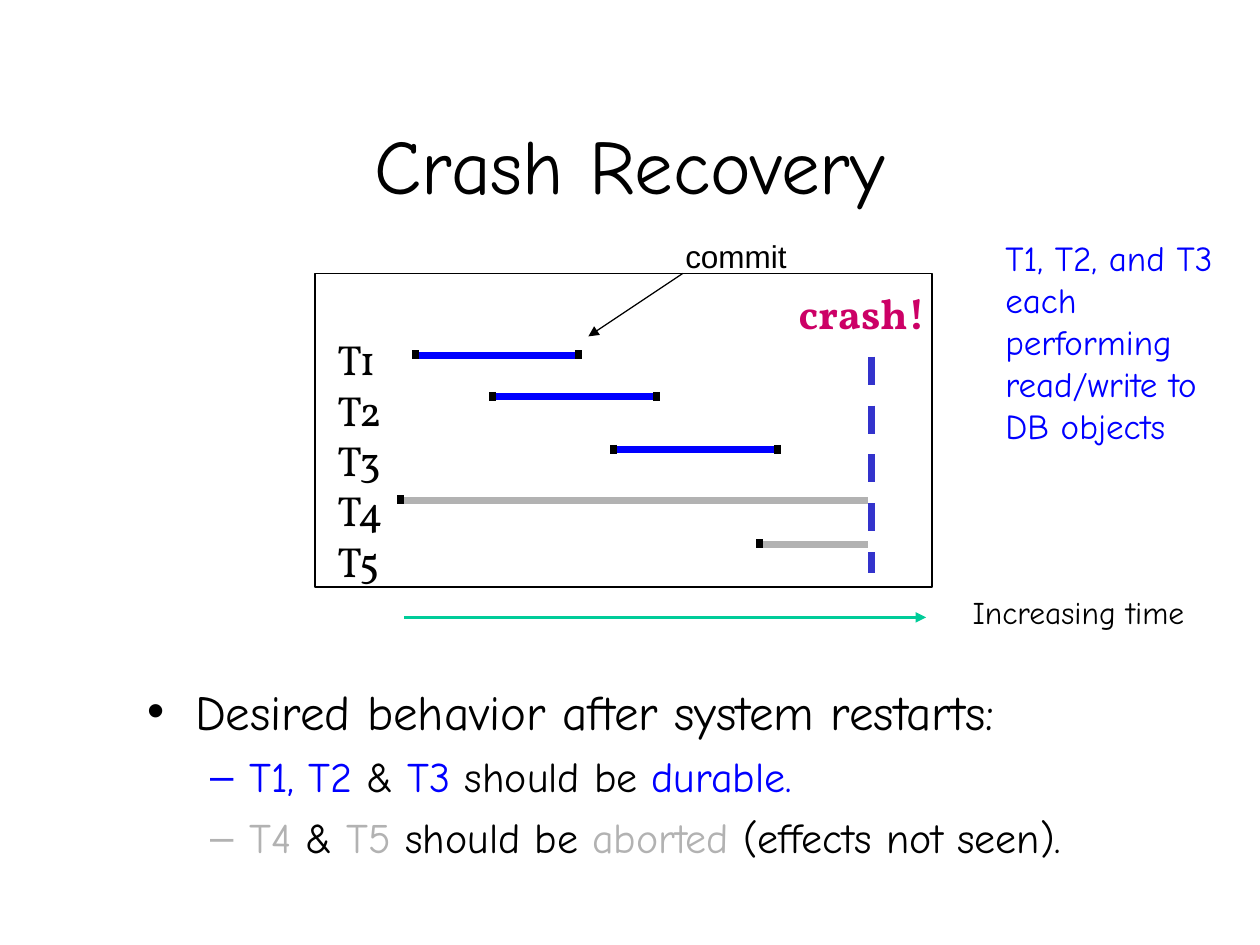
import pptx
import pptx.util
import pptx.dml.color
import pptx.enum.dml
import pptx.enum.shapes
import pptx.enum.text
import pptx.oxml
import pptx.oxml.ns

Inches, Pt = pptx.util.Inches, pptx.util.Pt
ALIGN = pptx.enum.text.PP_ALIGN
ANCHOR = pptx.enum.text.MSO_ANCHOR

HAND, SERIF, SANS = "Comic Neue", "Vollkorn", "Arial"
BLACK, BLUE, GREY = "000000", "0000FF", "B2B2B2"
CRASH_BLUE, CRASH_RED, TIME_GREEN = "3333CC", "CC0066", "00CC99"


def rgb(color):
    return pptx.dml.color.RGBColor.from_string(color)


def add_xml(parent, tag, **attributes):
    element = pptx.oxml.parse_xml(f"<a:{tag} {pptx.oxml.ns.nsdecls('a')}/>")
    for key, value in attributes.items():
        element.set(key, str(value))
    parent.append(element)
    return element


def add_bullet(paragraph, char, color, margin, hang):
    props = paragraph._p.get_or_add_pPr()
    props.set("marL", str(Inches(margin)))
    props.set("indent", str(-Inches(hang)))
    add_xml(add_xml(props, "buClr"), "srgbClr", val=color)
    add_xml(props, "buFont", typeface=SANS)
    add_xml(props, "buChar", char=char)


def write_runs(paragraph, runs, size, font, bold=False):
    for text, color in runs:
        run = paragraph.add_run()
        run.text = text
        run.font.size = Pt(size)
        run.font.name = font
        run.font.bold = bold
        run.font.color.rgb = rgb(color)


def add_text(slide, text, box, size=18, font=HAND, color=BLACK, bold=False,
             align=ALIGN.LEFT, anchor=ANCHOR.TOP, wrap=False):
    frame = slide.shapes.add_textbox(*map(Inches, box)).text_frame
    frame.word_wrap = wrap
    if not wrap:
        frame.auto_size = pptx.enum.text.MSO_AUTO_SIZE.SHAPE_TO_FIT_TEXT
    frame.vertical_anchor = anchor
    for index, line in enumerate(text.split("\n")):
        paragraph = frame.paragraphs[0] if index == 0 else frame.add_paragraph()
        paragraph.alignment = align
        write_runs(paragraph, [(line, color)], size, font, bold)


def add_line(slide, start, end, color=BLACK, width=4, dashed=False, arrow=False):
    line = slide.shapes.add_connector(
        pptx.enum.shapes.MSO_CONNECTOR.STRAIGHT, *map(Inches, (*start, *end)))
    line.line.color.rgb = rgb(color)
    line.line.width = Pt(width)
    if dashed:
        line.line.dash_style = pptx.enum.dml.MSO_LINE.DASH
    if arrow:
        add_xml(line.line._get_or_add_ln(), "tailEnd", type="triangle")
    add_xml(line._element.spPr, "effectLst")


def add_transaction(slide, start, end, y, committed):
    """Draw a run time, with a tick at its start and at its commit."""
    add_line(slide, (start, y), (end, y), BLUE if committed else GREY)
    ticks = [start - 0.02] + ([end + 0.02] if committed else [])
    for x in ticks:
        add_line(slide, (x, y - 0.04), (x, y + 0.03))


def add_timeline(slide):
    # Labels
    add_text(slide, "crash!", (6.24, 2.23, 1.26, 0.5), size=24, font=SERIF,
             color=CRASH_RED, bold=True)
    add_text(slide, "\n".join(f"T{n}" for n in range(1, 6)),
             (2.58, 2.6, 0.59, 2.1), size=24, font=SERIF)

    # Transactions T1 to T5 and the moment of the crash
    crash_edge = 6.89
    for start, end, y, committed in [
        (3.32, 4.57, 2.82, True),
        (3.93, 5.19, 3.15, True),
        (4.89, 6.15, 3.57, True),
        (3.2, crash_edge, 3.97, False),
        (6.05, crash_edge, 4.32, False),
    ]:
        add_transaction(slide, start, end, y, committed)
    add_line(slide, (6.92, 2.83), (6.92, 4.55), CRASH_BLUE, dashed=True)

    # Frame
    frame = slide.shapes.add_shape(pptx.enum.shapes.MSO_SHAPE.RECTANGLE,
                                   *map(Inches, (2.5, 2.17, 4.9, 2.49)))
    frame.shadow.inherit = False
    frame.fill.background()
    frame.line.color.rgb = rgb(BLACK)
    frame.line.width = Pt(1)

    # Commit pointer and time axis
    add_line(slide, (5.42, 2.17), (4.67, 2.67), width=0.75, arrow=True)
    add_text(slide, "commit", (5.34, 1.83, 1.02, 0.4), font=SANS)
    add_line(slide, (3.21, 4.9), (7.35, 4.9), TIME_GREEN, width=2, arrow=True)
    add_text(slide, "Increasing time", (7.62, 4.66, 1.88, 0.4))


def add_behavior(slide):
    frame = slide.shapes.add_textbox(
        *map(Inches, (1.07, 5.36, 8.42, 2.08))).text_frame
    frame.word_wrap = True
    heading = frame.paragraphs[0]
    heading.space_before = Pt(7)
    add_bullet(heading, "•", BLACK, 0.38, 0.38)
    write_runs(heading, [("Desired behavior after system restarts:", BLACK)], 28, HAND)

    for runs in [
        [("T1, T2 ", BLUE), ("& ", BLACK), ("T3", BLUE),
         (" should be ", BLACK), ("durable.", BLUE)],
        [("T4", GREY), (" & ", BLACK), ("T5 ", GREY), ("should be ", BLACK),
         ("aborted", GREY), (" (effects not seen).", BLACK)],
    ]:
        outcome = frame.add_paragraph()
        outcome.level = 1
        outcome.space_before = Pt(6)
        add_bullet(outcome, "–", runs[0][1], 0.81, 0.31)
        write_runs(outcome, runs, 24, HAND)


def main():
    deck = pptx.Presentation()
    deck.slide_width, deck.slide_height = Inches(10), Inches(7.5)
    slide = deck.slides.add_slide(deck.slide_layouts[6])

    add_text(slide, "Crash Recovery", (0.75, 0.67, 8.5, 1.25), size=44,
             align=ALIGN.CENTER, anchor=ANCHOR.MIDDLE, wrap=True)
    add_behavior(slide)
    add_timeline(slide)
    add_text(slide, "T1, T2, and T3 each performing read/write to DB objects",
             (7.88, 1.83, 2.15, 1.77), size=20, color=BLUE, wrap=True)

    deck.save("out.pptx")


if __name__ == "__main__":
    main()
